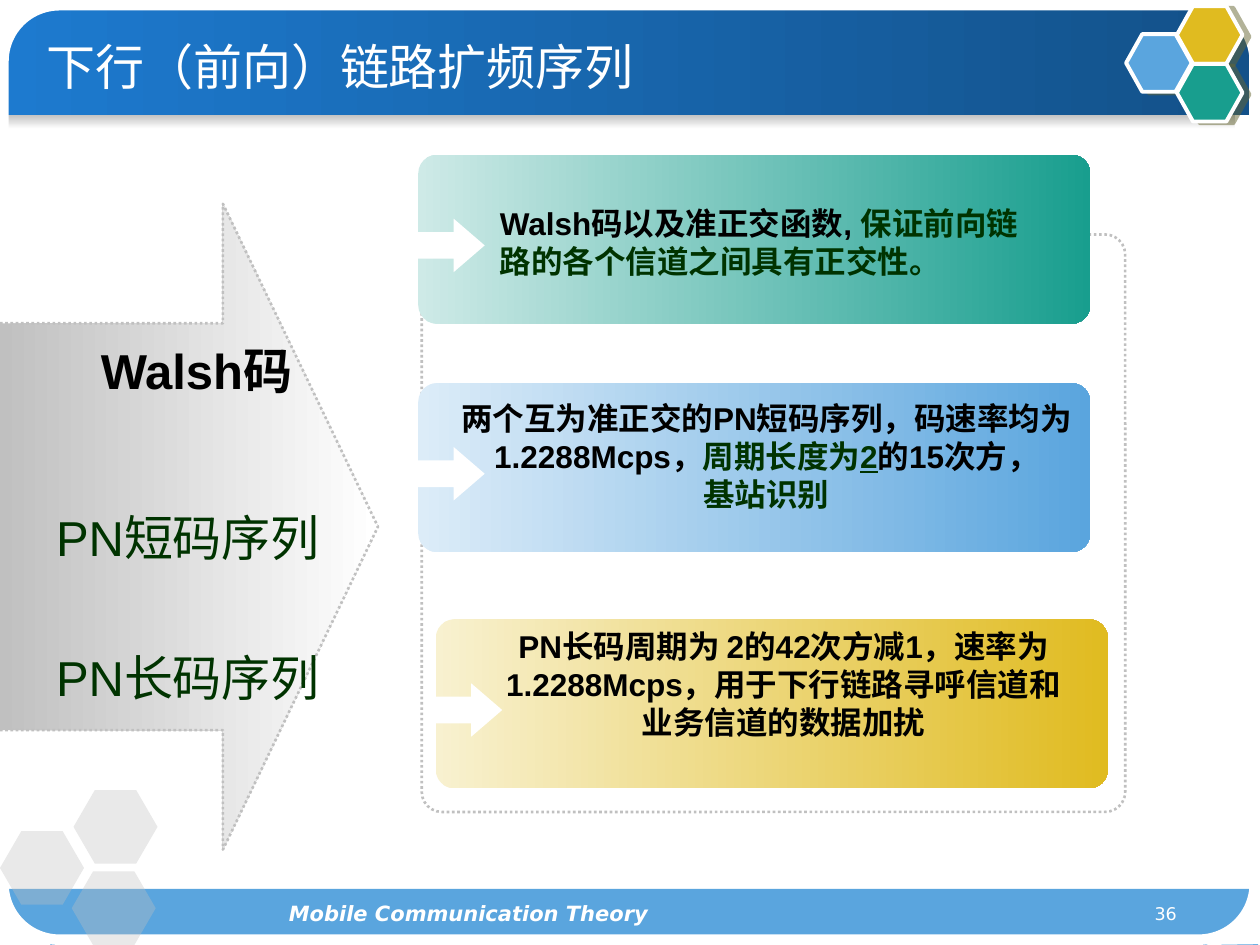
from lxml import etree as et
from pptx import Presentation, util as u
from pptx.dml.color import RGBColor
from pptx.enum import dml, shapes, text
from pptx.oxml import ns

Pt = u.Pt
kind = shapes.MSO_SHAPE
left, mid, right = text.PP_ALIGN.LEFT, text.PP_ALIGN.CENTER, text.PP_ALIGN.RIGHT
hue = {
    "white": "FFFFFF", "black": "000000", "green": "003300", "grey": "C0C0C0",
    "pale": "FEFEFE", "navy": "135189", "blue": "1D7ACF", "sky": "5AA5DE",
    "gold": "E0BB20", "teal": "189E8E", "mint": "CEEAE7", "ice": "DCECF8",
    "cream": "F8F1D0", "olive": "666633",
}

deck = Presentation()
deck.slide_width, deck.slide_height = Pt(720), Pt(540)
slide = deck.slides.add_slide(deck.slide_layouts[6])


def draw(form, box, fill=None, line=None, width=1.5, dash=None, adj=(), angle=0):
    """Add a shape; fill is a colour name, a pair for a gradient, or None."""
    item = slide.shapes.add_shape(form, *[Pt(n) for n in box])
    item.shadow.inherit = False
    for i, size in enumerate(adj):
        item.adjustments[i] = size
    if fill is None:
        item.fill.background()
    elif isinstance(fill, tuple):
        item.fill.gradient()
        item.fill.gradient_angle = angle
        for stop, name in zip(item.fill.gradient_stops, fill):
            stop.color.rgb = RGBColor.from_string(hue[name])
    else:
        item.fill.solid()
        item.fill.fore_color.rgb = RGBColor.from_string(hue[fill])
    if line:
        item.line.color.rgb = RGBColor.from_string(hue[line])
        item.line.width = Pt(width)
        item.line.dash_style = dash
    else:
        item.line.fill.background()
    return item


def write(box, paras, style, face="Arial", anchor=text.MSO_ANCHOR.TOP):
    """Add a text box; each para is (align, space before, [(words, colour, extra)])."""
    frame = slide.shapes.add_textbox(*[Pt(n) for n in box]).text_frame
    frame.word_wrap = True
    frame.vertical_anchor = anchor
    for i, (align, gap, runs) in enumerate(paras):
        para = frame.paragraphs[0] if i == 0 else frame.add_paragraph()
        para.alignment, para.space_before = align, Pt(gap)
        for words, name, extra in runs:
            run = para.add_run()
            run.text = words
            for key, value in {"name": face, **style, **extra}.items():
                setattr(run.font, key, value)
            run.font.color.rgb = RGBColor.from_string(hue[name])
            asian = et.SubElement(run.font._element, ns.qn("a:ea"))
            asian.set("typeface", "Noto Sans CJK SC")


# Header and footer bars
draw(kind.RECTANGLE, (0, 1, 714, 65), ("blue", "navy"))
draw(kind.RECTANGLE, (0, 508, 719, 32), "sky")
draw(kind.RECTANGLE, (0, 65.5, 706, 8), ("grey", "pale"), angle=270)

# White rounded frame and its corner masks
draw(kind.ROUNDED_RECTANGLE, (2, 3, 715, 534), line="white", width=6, adj=[0.06])
masks = [
    [(-1, 35), (9, 18), (19, 4), (35, 0), (-1, 0)],
    [(29, 540), (14, 528), (3, 516), (-1, 498), (-1, 540)],
    [(720, 503), (711, 521), (702, 535), (689, 540), (721, 539.5)],
    [(684, 0), (702, 10), (716, 21), (720, 36), (720, 0)],
]
for mask in masks:
    dots = [(Pt(x), Pt(y)) for x, y in mask]
    pen = slide.shapes.build_freeform(*dots[0], scale=1.0)
    pen.add_line_segments(dots[1:], close=True)
    patch = pen.convert_to_shape()
    patch.shadow.inherit = False
    patch.fill.solid()
    patch.fill.fore_color.rgb = RGBColor.from_string(hue["white"])
    patch.line.fill.background()

# Coloured hexagons with a hard shadow
for x, y, name in [(643.5, 19.5, "sky"), (672.5, 3.5, "gold"), (672.5, 36.5, "teal")]:
    hexa = draw(kind.HEXAGON, (x, y, 37.5, 33), name, "white", 2.25, adj=[0.28])
    glow = hexa._element.spPr.find(ns.qn("a:effectLst"))
    cast = et.SubElement(glow, ns.qn("a:outerShdw"), blurRad="0",
                         dist=str(Pt(4.1)), dir=str(14 * 60000), algn="ctr", rotWithShape="0")
    tint = et.SubElement(cast, ns.qn("a:srgbClr"), val=hue["olive"])
    et.SubElement(tint, ns.qn("a:alpha"), val="50000")

# Faint hexagons
for x, y in [(0, 475), (42, 451.5), (41, 498)]:
    hexa = draw(kind.HEXAGON, (x, y, 48, 42), "grey", adj=[0.29])
    tint = hexa._element.spPr.find(".//" + ns.qn("a:srgbClr"))
    et.SubElement(tint, ns.qn("a:alpha"), val="35000")

# Footer text and title
write((649.5, 512.5, 30, 18), [(right, 0, [("36", "white", {})])],
      {"size": Pt(10)}, "DejaVu Sans")
write((105, 511, 325.5, 25), [(mid, 0, [("Mobile Communication Theory", "white", {})])],
      {"size": Pt(12), "bold": True, "italic": True}, "DejaVu Sans")
write((19.5, 15, 584, 45), [(left, 0, [("下行（前向）链路扩频序列", "white", {})])],
      {"size": Pt(28)}, "Noto Sans CJK SC", text.MSO_ANCHOR.MIDDLE)

# Big arrow with the three sequence names
dot = dml.MSO_LINE.ROUND_DOT
draw(kind.RIGHT_ARROW, (0, 116.5, 216, 369), ("grey", "white"), "grey",
     dash=dot, adj=[0.63, 0.41])
write((25, 191, 174.5, 256), [
    (mid, 0, [("Walsh码", "black", {"bold": True})]),
    (left, 62, [("PN短码序列", "green", {})]),
    (left, 46, [("PN长码序列", "green", {})]),
], {"size": Pt(28)})

# Dotted outline and the three cards
draw(kind.ROUNDED_RECTANGLE, (241, 134, 402, 330), line="grey", dash=dot, adj=[0.035])
cards = [(239, 88.5, "mint", "teal"), (239, 219, "ice", "sky"), (249, 354, "cream", "gold")]
for x, y, pale, deep in cards:
    draw(kind.ROUNDED_RECTANGLE, (x, y, 384, 96.5), (pale, deep), adj=[0.11])
    draw(kind.RIGHT_ARROW, (x - 3.5, y + 36.5, 41.5, 30.5), "white", adj=[0.5, 0.58])

# Card texts
body = {"size": Pt(18), "bold": True}
lines = ["PN长码周期为 2的42次方减1，速率为",
         "1.2288Mcps，用于下行链路寻呼信道和", "业务信道的数据加扰"]
write((229.5, 355, 436.5, 73), [(mid, 0, [(line, "black", {})]) for line in lines], body)
write((232, 224.5, 412, 95), [
    (mid, 0, [("两个互为准正交的PN短码序列，码速率均为1.2288Mcps，", "black", {}),
              ("周期长度为", "green", {}), ("2", "green", {"underline": True}),
              ("的15次方，", "black", {})]),
    (mid, 0, [("基站识别", "green", {})]),
], body)
write((278.5, 113, 317.5, 78), [
    (left, 0, [("Walsh码以及准正交函数, ", "black", {}),
               ("保证前向链路的各个信道之间具有正交性。", "green", {})]),
], body)

deck.save("out.pptx")
